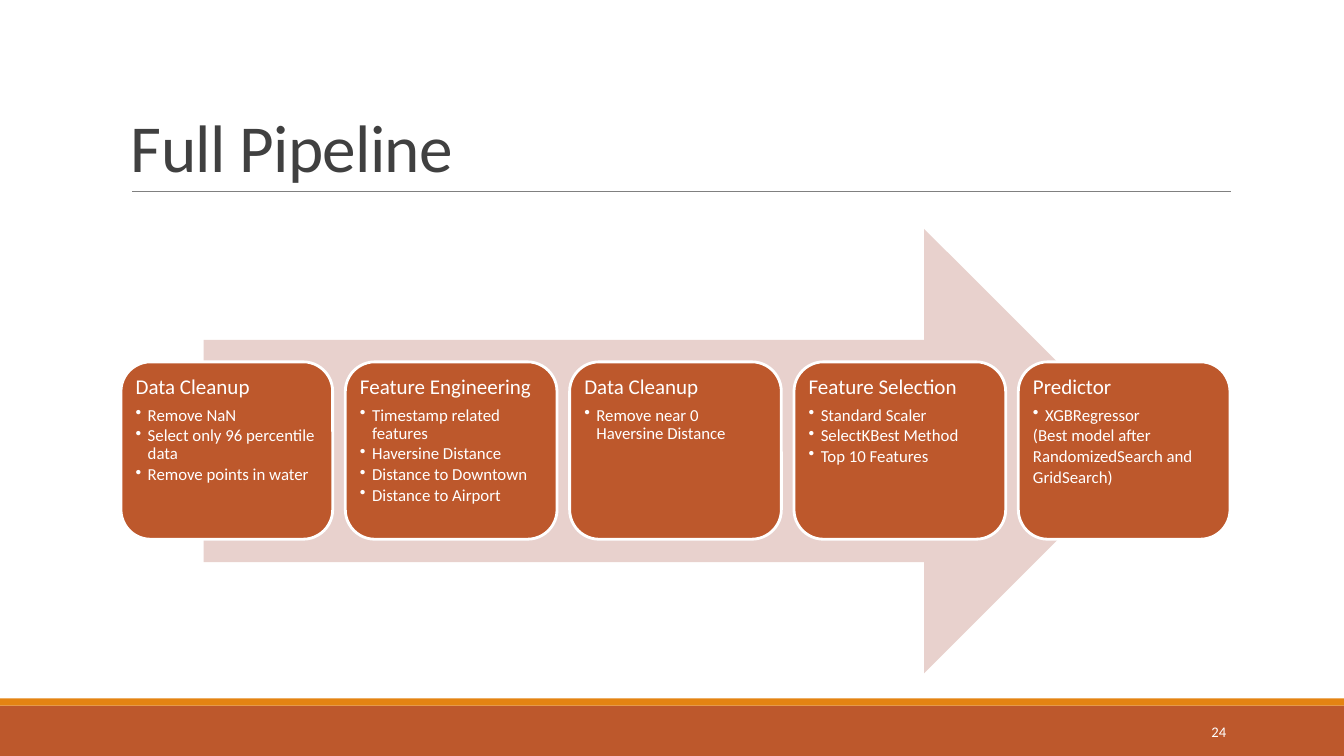
import pptx
import pptx.util
import pptx.dml.color
import pptx.enum.shapes
import pptx.enum.text
import pptx.oxml.ns
import lxml.etree

Inches = pptx.util.Inches
Pt = pptx.util.Pt
SHAPE = pptx.enum.shapes.MSO_SHAPE
ALIGN = pptx.enum.text.PP_ALIGN
ANCHOR = pptx.enum.text.MSO_ANCHOR
qn = pptx.oxml.ns.qn

STAGES = [
    ("Data Cleanup",
     ["Remove NaN", "Select only 96 percentile data", "Remove points in water"], []),
    ("Feature Engineering",
     ["Timestamp related features", "Haversine Distance",
      "Distance to Downtown", "Distance to Airport"], []),
    ("Data Cleanup", ["Remove near 0 Haversine Distance"], []),
    ("Feature Selection",
     ["Standard Scaler", "SelectKBest Method", "Top 10 Features"], []),
    ("Predictor", ["XGBRegressor"],
     ["(Best model after", "RandomizedSearch and", "GridSearch)"]),
]


class PipelineSlide:
    """Draws the elements of one slide in a shared style."""

    font = "Calibri"
    colors = {"rust": "BD582C", "orange": "E48312", "blush": "E8D1CD",
              "rule": "808080", "title": "404040", "white": "FFFFFF"}

    def __init__(self, deck):
        self.slide = deck.slides.add_slide(deck.slide_layouts[6])

    def color(self, name):
        return pptx.dml.color.RGBColor.from_string(self.colors[name])

    def shape(self, kind, left, top, width, height, fill, line=None):
        shape = self.slide.shapes.add_shape(
            kind, Inches(left), Inches(top), Inches(width), Inches(height))
        shape.shadow.inherit = False
        shape.fill.solid()
        shape.fill.fore_color.rgb = self.color(fill)
        if line:
            shape.line.color.rgb = self.color(line)
            shape.line.width = Pt(2)
        else:
            shape.line.fill.background()
        return shape

    def rule(self, left, right, y):
        rule = self.slide.shapes.add_connector(
            pptx.enum.shapes.MSO_CONNECTOR.STRAIGHT,
            Inches(left), Inches(y), Inches(right), Inches(y))
        rule.line.color.rgb = self.color("rule")
        rule.line.width = Pt(0.5)
        lxml.etree.SubElement(rule.element.spPr, qn("a:effectLst"))

    def run(self, paragraph, text, size, color):
        run = paragraph.add_run()
        run.text = text
        run.font.name = self.font
        run.font.size = Pt(size)
        run.font.color.rgb = self.color(color)
        return run

    def text(self, text, left, top, width, height, size, color, anchor, align):
        box = self.slide.shapes.add_textbox(
            Inches(left), Inches(top), Inches(width), Inches(height))
        box.text_frame.word_wrap = True
        box.text_frame.vertical_anchor = anchor
        paragraph = box.text_frame.paragraphs[0]
        paragraph.alignment = align
        return paragraph, self.run(paragraph, text, size, color)

    def detail(self, frame, text, bulleted):
        paragraph = frame.add_paragraph()
        paragraph.level = 1
        properties = paragraph._p.get_or_add_pPr()
        properties.set("marL", str(Inches(0.12)))
        properties.set("indent", str(Inches(-0.12)))
        if bulleted:
            lxml.etree.SubElement(properties, qn("a:buChar")).set("char", "•")
        else:
            lxml.etree.SubElement(properties, qn("a:buNone"))
        self.finish(paragraph, text, 12, 1.8)

    def finish(self, paragraph, text, size, space_after):
        paragraph.alignment = ALIGN.LEFT
        paragraph.line_spacing = 0.9
        paragraph.space_after = Pt(space_after)
        self.run(paragraph, text, size, "white")

    def stage(self, left, heading, bullets, remarks):
        card = self.shape(SHAPE.ROUNDED_RECTANGLE, left, 3.59, 2.1, 1.76, "rust", "white")
        frame = card.text_frame
        frame.word_wrap = True
        frame.vertical_anchor = ANCHOR.TOP
        frame.margin_left = frame.margin_right = Inches(0.06)
        frame.margin_top = frame.margin_bottom = Inches(0.06)
        self.finish(frame.paragraphs[0], heading, 15, 5.25)
        for bullet in bullets:
            self.detail(frame, bullet, True)
        for remark in remarks:
            self.detail(frame, remark, False)


def main():
    deck = pptx.Presentation()
    deck.slide_width = Inches(13.33)
    deck.slide_height = Inches(7.5)
    page = PipelineSlide(deck)

    page.shape(SHAPE.RECTANGLE, 0, 7, 13.33, 0.5, "rust")
    page.shape(SHAPE.RECTANGLE, 0, 6.93, 13.33, 0.07, "orange")
    page.rule(1.31, 12.21, 1.9)

    title, title_run = page.text("Full Pipeline", 1.2, 0.31, 11, 1.59, 48, "title",
                                 ANCHOR.BOTTOM, ALIGN.LEFT)
    title.line_spacing = 0.85
    title_run.font._element.set("spc", "-50")

    page.shape(SHAPE.RIGHT_ARROW, 2.02, 2.27, 9.35, 4.41, "blush")
    first, last = 1.2, 10.1
    pitch = (last - first) / (len(STAGES) - 1)
    for index, (heading, bullets, remarks) in enumerate(STAGES):
        page.stage(first + index * pitch, heading, bullets, remarks)

    page.text("24", 10.83, 7.06, 1.43, 0.4, 10.5, "white", ANCHOR.MIDDLE, ALIGN.RIGHT)
    deck.save("out.pptx")


if __name__ == "__main__":
    main()
